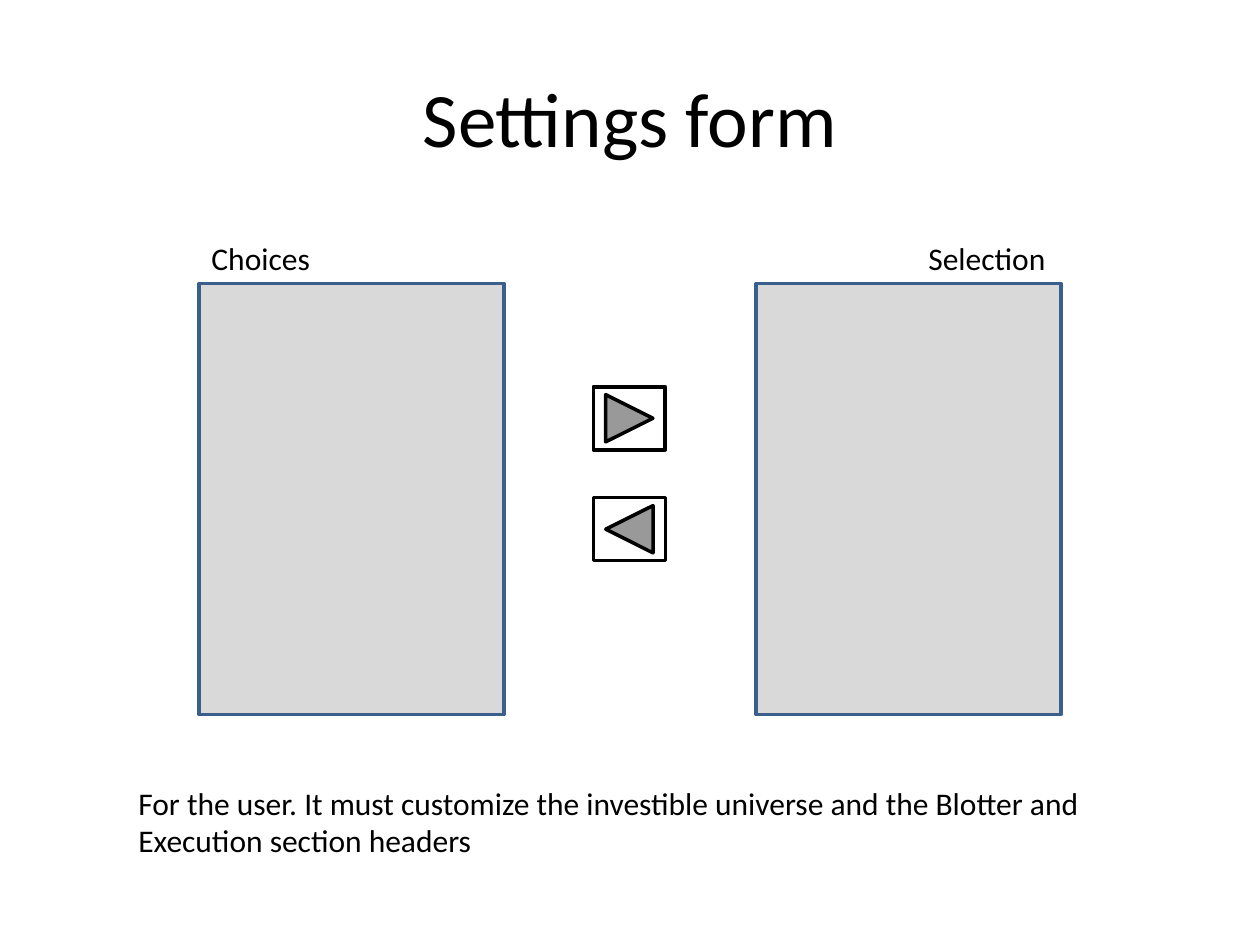
from pptx import Presentation
from pptx.dml.color import RGBColor
from pptx.enum import shapes, text
from pptx.util import Inches, Pt

BLACK = RGBColor(0x00, 0x00, 0x00)
WHITE = RGBColor(0xFF, 0xFF, 0xFF)
GREY = RGBColor(0xD9, 0xD9, 0xD9)
BLUE = RGBColor(0x3A, 0x5F, 0x8C)


class FormSlide:
    font = {"name": "Calibri"}
    color = BLACK
    line_width = Pt(2)

    def __init__(self, prs):
        self.slide = prs.slides.add_slide(prs.slide_layouts[5])

    def style(self, frame, size):
        for paragraph in frame.paragraphs:
            for name, value in {**self.font, "size": Pt(size)}.items():
                setattr(paragraph.font, name, value)
            paragraph.font.color.rgb = self.color

    def title(self, words, *box):
        heading = self.slide.shapes.title
        for name, value in zip(("left", "top", "width", "height"), box):
            setattr(heading, name, Inches(value))
        heading.text_frame.text = words
        heading.text_frame.vertical_anchor = text.MSO_ANCHOR.MIDDLE
        heading.text_frame.paragraphs[0].alignment = text.PP_ALIGN.CENTER
        self.style(heading.text_frame, 44)

    def label(self, words, *box, wrap=False):
        frame = self.slide.shapes.add_textbox(*map(Inches, box)).text_frame
        frame.text = words
        settings = {"word_wrap": wrap, "auto_size": text.MSO_AUTO_SIZE.SHAPE_TO_FIT_TEXT}
        for name, value in settings.items():
            setattr(frame, name, value)
        self.style(frame, 18)

    def block(self, kind, fill, line, *box, rotation=0):
        block = self.slide.shapes.add_shape(kind, *map(Inches, box))
        block.shadow.inherit = False
        block.rotation = rotation
        block.fill.solid()
        block.fill.fore_color.rgb = fill
        block.line.color.rgb = line
        block.line.width = self.line_width


def main():
    prs = Presentation()
    prs.slide_width, prs.slide_height = Inches(10), Inches(7.5)
    form = FormSlide(prs)
    form.title("Settings form", 0.5, 0.3, 9, 1.25)

    lists = (("Choices", 1.58, 1.58, 0.99), ("Selection", 6, 7.27, 1.14))
    for caption, list_left, caption_left, caption_width in lists:
        form.block(shapes.MSO_SHAPE.RECTANGLE, GREY, BLUE, list_left, 2.25, 2.42, 3.42)
        form.label(caption, caption_left, 1.85, caption_width, 0.4)

    for button_top, rotation in ((3.07, 0), (3.95, 180)):
        form.block(shapes.MSO_SHAPE.ACTION_BUTTON_FORWARD_OR_NEXT, WHITE, BLACK,
                   4.71, button_top, 0.57, 0.5, rotation=rotation)

    form.label("For the user. It must customize the investible universe and the Blotter and\n"
               "Execution section headers", 1, 6.17, 8.17, 0.71, wrap=True)
    prs.save("out.pptx")


if __name__ == "__main__":
    main()
